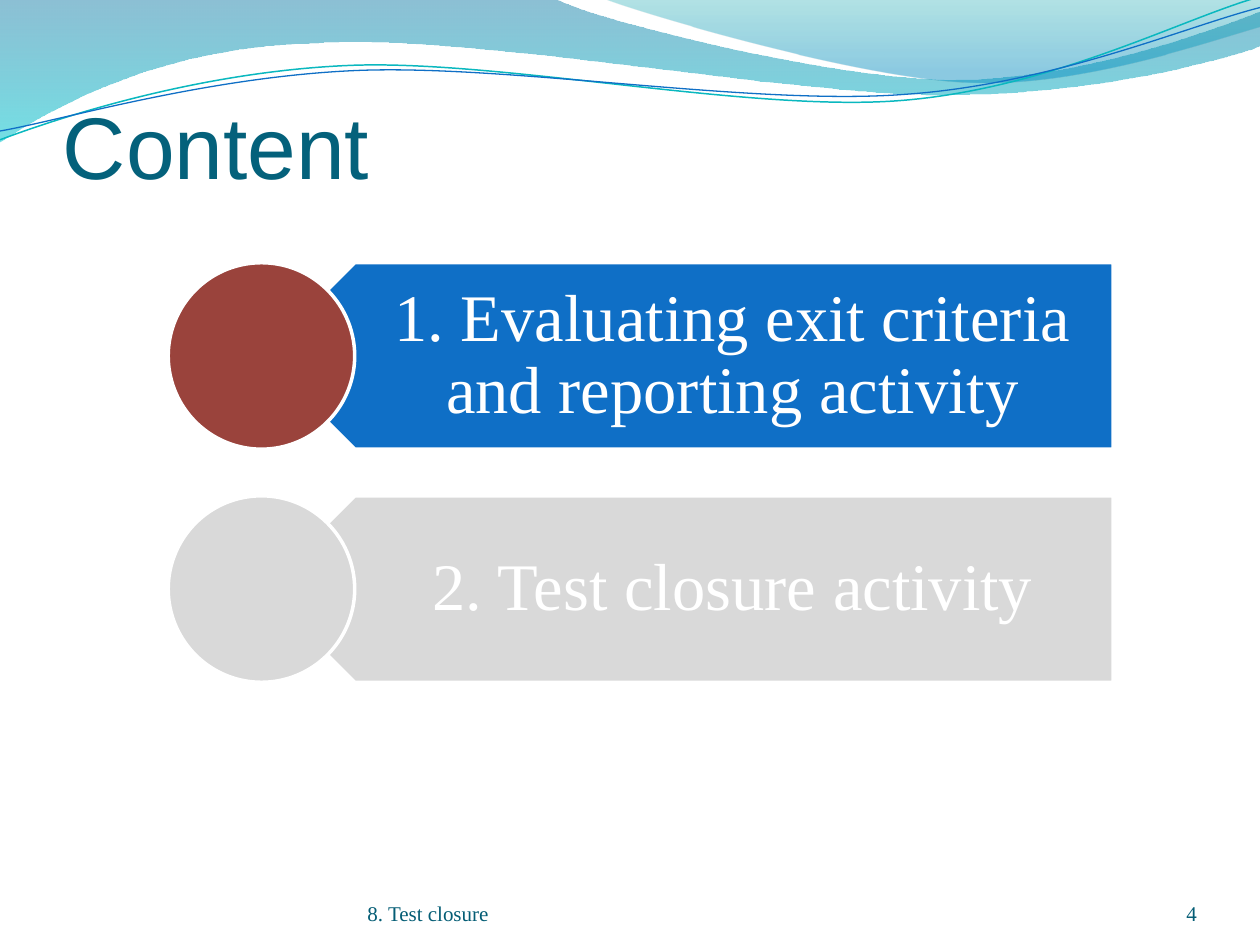
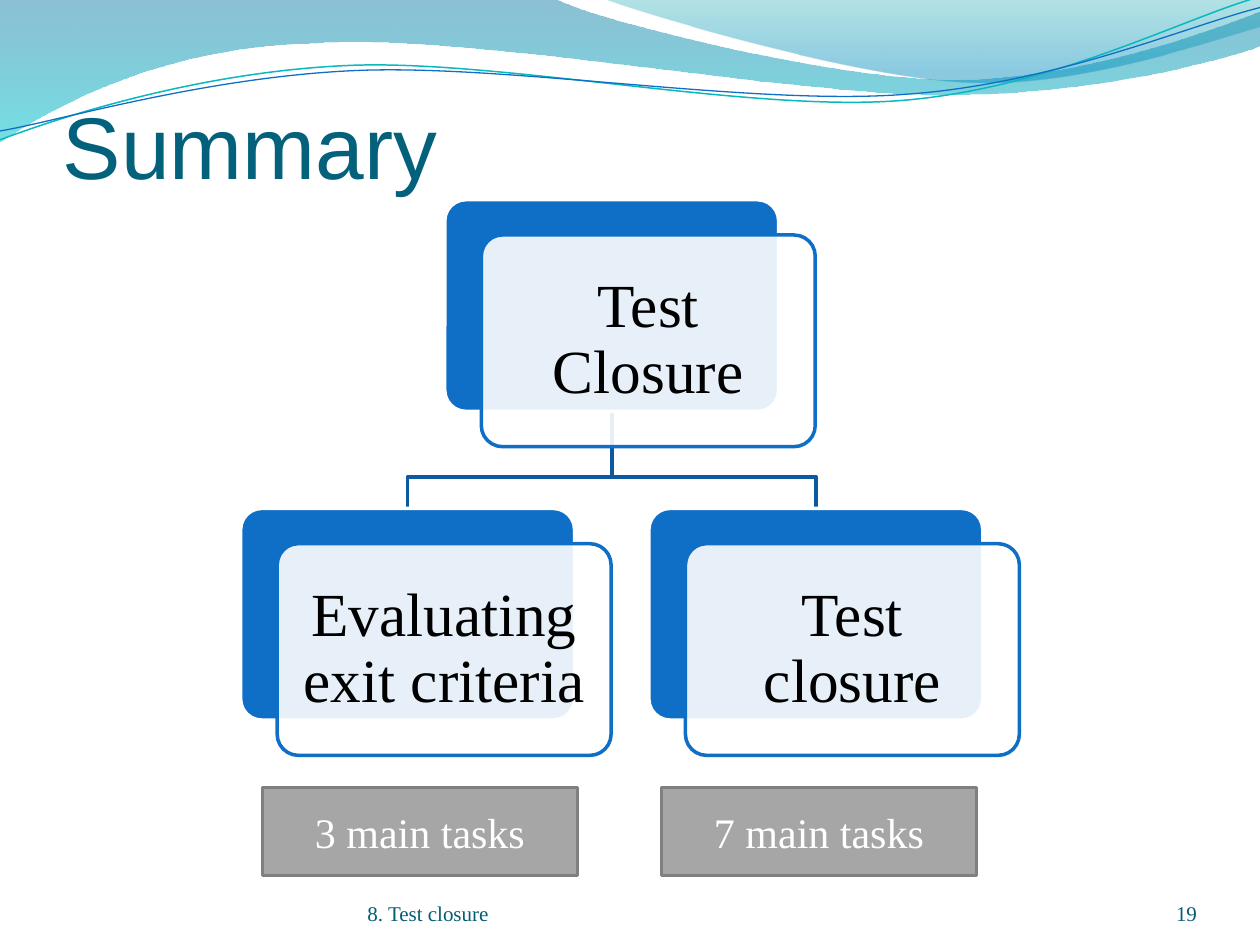
from lxml import etree
from pptx import Presentation
from pptx.dml.color import RGBColor
from pptx.enum.shapes import MSO_SHAPE
from pptx.enum.text import MSO_ANCHOR, PP_ALIGN
from pptx.oxml.ns import qn
from pptx.util import Inches, Pt

PLATE, OVAL = MSO_SHAPE.PENTAGON, MSO_SHAPE.OVAL
ROUND, RECT = MSO_SHAPE.ROUNDED_RECTANGLE, MSO_SHAPE.RECTANGLE
LEFT, MID, RIGHT = PP_ALIGN.LEFT, PP_ALIGN.CENTER, PP_ALIGN.RIGHT
CENTRE, BOTTOM = MSO_ANCHOR.MIDDLE, MSO_ANCHOR.BOTTOM

WHITE = RGBColor(0xFF, 0xFF, 0xFF)
BLACK = RGBColor(0, 0, 0)
BLUE = RGBColor(0x0F, 0x6F, 0xC6)
NAVY = RGBColor(0x0C, 0x59, 0x9F)
TEAL = RGBColor(0x04, 0x61, 0x7B)
DEEP = RGBColor(0x04, 0x5D, 0x75)
AQUA = RGBColor(0x0A, 0xB8, 0xBF)
RED = RGBColor(0x9A, 0x43, 0x3C)
PALE = RGBColor(0xD9, 0xD9, 0xD9)
GREY = RGBColor(0xA6, 0xA6, 0xA6)
DARK = RGBColor(0x80, 0x80, 0x80)
SANS, SERIF = "Arial", "Times New Roman"

# The slide is a grid of 100 columns by 75 rows of square cells.
CELL = Inches(0.1)
COLS, ROWS = 100, 75

# Gradient stops: position, colour, opacity in percent
BAND_FILL = [(0, RGBColor(0, 0x74, 0xA1), 45), (1, RGBColor(0, 0xC6, 0xCF), 55)]
VEIL_FILL = [(0, RGBColor(0, 0xA1, 0xA9), 30), (0.8, RGBColor(0, 0x8B, 0xBF), 45)]

# Outlines in cells: a pair is a corner, a triple of pairs is a Bezier curve
BAND = [(0, 0), (44, -0.1),
        ((47.6, 1.7), (66.4, 6.3), (75.8, 6.3)),
        ((85.3, 6.3), (95.8, 2.6), (100, 0.9)), (100.1, 3.6),
        ((98.3, 4.4), (87, 7.6), (74.6, 7.5)),
        ((62.2, 7.5), (38.2, 2.8), (25.7, 3.4)),
        ((12.9, 3.6), (4.6, 8.3), (-0.1, 11.3)), (0, 0)]
VEIL = [(47.9, -0.1), ((50.9, 1.1), (68.2, 6.2), (76.9, 6.5)),
        ((85.6, 6.9), (96.1, 3.2), (100, 2.1)), (100, 0), (47.9, -0.1)]
UPPER = [(0, 11.1), ((4.8, 9.3), (15.8, 5.7), (27.7, 5.2)),
         ((39.5, 4.7), (59.3, 8.9), (71.3, 8)),
         ((83.3, 7.1), (93.8, 1.5), (99.8, -0.2))]
LOWER = [(0, 10.4), ((4.7, 9.6), (16.4, 6.1), (28.3, 5.6)),
         ((40.3, 5.1), (59.7, 8.4), (71.7, 7.5)),
         ((83.6, 6.7), (94.1, 2.1), (100, 0.6))]


def scale(box):
    return [round(side * CELL) for side in box]


def fade(shape, levels):
    """Give each colour in the shape's fill its opacity in percent."""
    colours = shape.element.spPr.iter(qn("a:srgbClr"))
    for colour, level in zip(colours, levels):
        etree.SubElement(colour, qn("a:alpha")).set("val", str(level * 1000))


def bend(shape, parts):
    """Join the three straight steps of each triple into one Bezier curve."""
    steps = iter(list(shape.element.spPr.iter(qn("a:lnTo"))))
    for part in parts:
        first = next(steps)
        if len(part) == 2:
            continue
        curve = first.makeelement(qn("a:cubicBezTo"))
        first.addprevious(curve)
        for step in (first, next(steps), next(steps)):
            curve.append(step[0])
            step.getparent().remove(step)


def draw(slide, outline, line=None, width=2, stops=None):
    start, *parts = outline
    dots = []
    for part in parts:
        dots += [part] if len(part) == 2 else part
    pen = slide.shapes.build_freeform(*scale(start))
    pen.add_line_segments([scale(dot) for dot in dots], close=bool(stops))
    shape = pen.convert_to_shape()
    bend(shape, parts)
    shape.shadow.inherit = False
    if stops:
        shape.fill.gradient()
        shape.fill.gradient_angle = 270
        for stop, (place, colour, _) in zip(shape.fill.gradient_stops, stops):
            stop.position = place
            stop.color.rgb = colour
        fade(shape, [level for *_, level in stops])
        shape.line.fill.background()
    else:
        shape.fill.background()
        shape.line.color.rgb = line
        shape.line.width = Pt(width)


def block(slide, kind, box, fill, line):
    shape = slide.shapes.add_shape(kind, *scale(box))
    shape.shadow.inherit = False
    shape.fill.solid()
    shape.fill.fore_color.rgb = fill
    shape.line.color.rgb = line
    shape.line.width = Pt(2)
    return shape


def write(shape, text, size, colour, font=SERIF, align=MID, anchor=CENTRE,
          pads=(1, 0.5, 1, 0.5), space=1.0):
    frame = shape.text_frame
    frame.word_wrap = True
    frame.vertical_anchor = anchor
    (frame.margin_left, frame.margin_top,
     frame.margin_right, frame.margin_bottom) = scale(pads)
    frame.text = text
    para = frame.paragraphs[0]
    para.alignment = align
    para.line_spacing = space
    face = para.runs[0].font
    face.name, face.size, face.color.rgb = font, Pt(size), colour


def label(slide, box, *args, **style):
    write(slide.shapes.add_textbox(*scale(box)), *args, **style)


def base(deck, title, page):
    """Add a slide with the waves, title and footer that all slides share."""
    slide = deck.slides.add_slide(deck.slide_layouts[6])
    draw(slide, BAND, stops=BAND_FILL)
    draw(slide, VEIL, stops=VEIL_FILL)
    draw(slide, UPPER, AQUA, 0.85)
    draw(slide, LOWER, BLUE, 0.75)
    label(slide, (5, 6.65, 90, 9), title, 50, TEAL, font=SANS, align=LEFT,
          anchor=BOTTOM, pads=(0, 0.5, 0, 0))
    for left, wide, text, align in ((29.17, 36.7, "8. Test closure", LEFT),
                                    (86.7, 8.3, page, RIGHT)):
        label(slide, (left, 69.5, wide, 4), text, 12, DEEP, align=align,
              anchor=BOTTOM, pads=(0, 0, 0, 0))
    return slide


def topic(slide, box, text, fill, dot):
    """Draw a left-pointing bar with a round marker over its tip."""
    left, top, wide, high = box
    half = high / 2
    bar = block(slide, PLATE, (left + half, top, wide - half, high), fill, WHITE)
    bar.rotation = 180
    label(slide, (left + 0.75 * high, top, wide - 0.75 * high, high), text, 38,
          WHITE, pads=(6.5, 1.6, 3, 1.6), space=0.9)
    block(slide, OVAL, (left, top, high, high), dot, WHITE)


def topics(slide, box, items):
    left, top, wide, high = box
    pitch = high * 1.25
    for row, item in enumerate(items):
        topic(slide, (left, top + row * pitch, wide, high), *item)


def card(slide, box, text):
    """Draw a blue card with a clear white one shifted over it."""
    left, top, wide, high = box
    over, down, inset = 2.9, 2.8, 0.5
    back = block(slide, ROUND, box, BLUE, WHITE)
    front = block(slide, ROUND, (left + over, top + down, wide, high), WHITE, BLUE)
    for shape in (back, front):
        shape.adjustments[0] = 0.1
    fade(front, [90])
    label(slide, (left + over + inset, top + down + inset,
                  wide - 2 * inset, high - 2 * inset),
          text, 35, BLACK, pads=(1.5,) * 4, space=0.9)


def tree(slide, box, root, leaves):
    """Draw a root card centred over a row of leaf cards, joined by lines."""
    left, top, wide, high = box
    size = (26.5, 16.8)
    pitch = (wide - size[0]) / (len(leaves) - 1)
    stem = left + wide / 2
    floor = top + high - size[1]
    fork = floor - 2.5
    starts = [left + col * pitch for col in range(len(leaves))]
    for start in reversed(starts):
        tip = start + size[0] / 2
        draw(slide, [(stem, top + size[1]), (stem, fork), (tip, fork),
                     (tip, floor)], NAVY)
    card(slide, (stem - size[0] / 2, top, *size), root)
    for start, text in zip(starts, leaves):
        card(slide, (start, floor, *size), text)


def tasks(slide, box, texts):
    left, top, wide, high = box
    size = 25
    pitch = (wide - size) / (len(texts) - 1)
    for col, text in enumerate(texts):
        shape = block(slide, RECT, (left + col * pitch, top, size, high),
                      GREY, DARK)
        write(shape, text, 24, WHITE)


def main():
    deck = Presentation()
    deck.slide_width, deck.slide_height = COLS * CELL, ROWS * CELL

    content = base(deck, "Content", "4")
    topics(content, (13.35, 20.85, 75, 14.8), [
        ("1. Evaluating exit criteria and reporting activity", BLUE, RED),
        ("2. Test closure activity", PALE, PALE)])

    summary = base(deck, "Summary", "19")
    tree(summary, (19.1, 15.85, 58.9, 41.3), "Test Closure",
         ["Evaluating exit criteria", "Test closure"])
    tasks(summary, (20.83, 62.5, 56.67, 7), ["3 main tasks", "7 main tasks"])

    deck.save("out.pptx")


if __name__ == "__main__":
    main()
